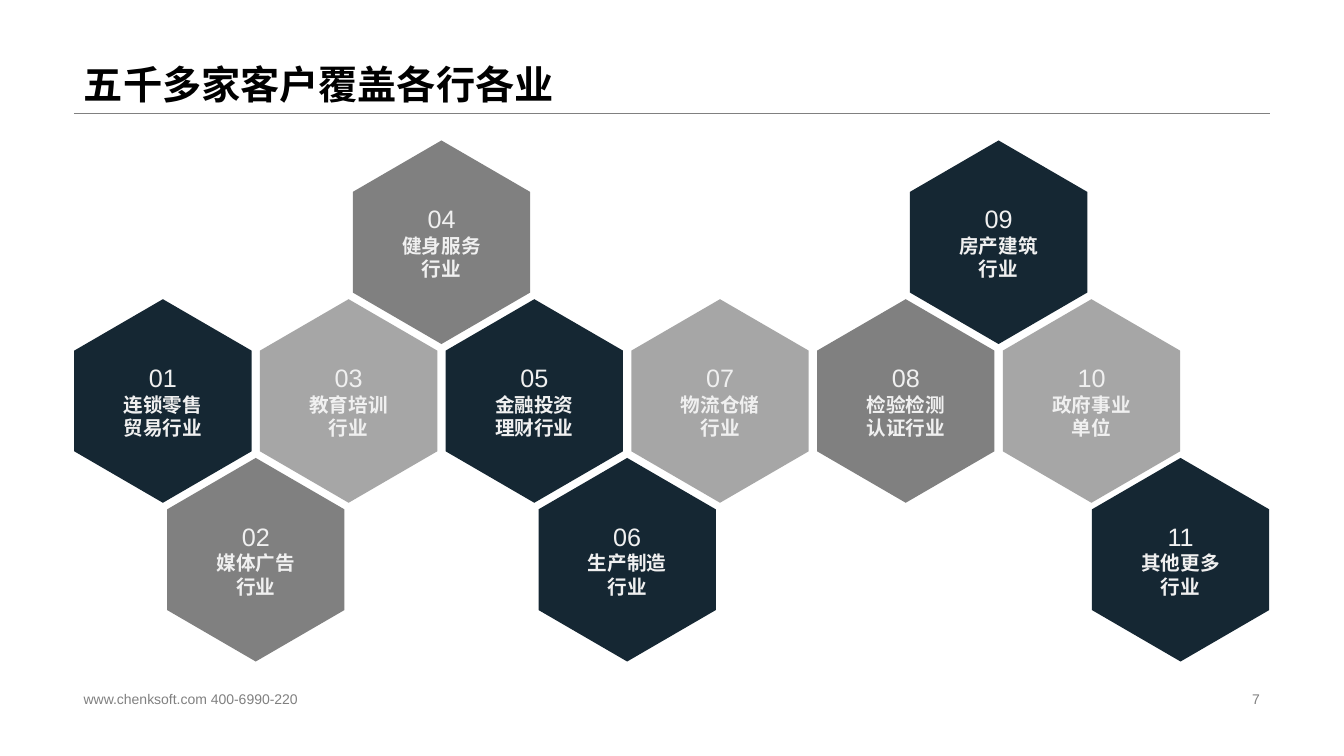
from pptx import Presentation
from pptx.dml.color import RGBColor
from pptx.enum import shapes, text
from pptx.oxml.ns import qn
from pptx.util import Cm, Pt
from lxml import etree

NAVY = RGBColor(0x15, 0x27, 0x33)
GRAY = RGBColor(0x80, 0x80, 0x80)
SILVER = RGBColor(0xA6, 0xA6, 0xA6)
PALE = RGBColor(0xF0, 0xF0, 0xF0)
BLACK = RGBColor(0, 0, 0)

LEFT, RIGHT = 1.86, 32.0
LONG, SHORT = 5.13, 4.47
COL, ROW = 2.34, 4.0

# column step, row, colour, label; numbered in order
FIELDS = [
    (0, 1, NAVY, "连锁零售贸易行业"),
    (1, 2, GRAY, "媒体广告行业"),
    (2, 1, SILVER, "教育培训行业"),
    (3, 0, GRAY, "健身服务行业"),
    (4, 1, NAVY, "金融投资理财行业"),
    (5, 2, NAVY, "生产制造行业"),
    (6, 1, SILVER, "物流仓储行业"),
    (8, 1, GRAY, "检验检测认证行业"),
    (9, 0, NAVY, "房产建筑行业"),
    (10, 1, SILVER, "政府事业单位"),
    (10.96, 2, NAVY, "其他更多行业"),
]


def write(frame, *lines, color, align=text.PP_ALIGN.LEFT,
          anchor=text.MSO_ANCHOR.MIDDLE, space=None):
    """Fill one paragraph with (words, size, bold) lines split by breaks."""
    frame.word_wrap = True
    frame.auto_size = text.MSO_AUTO_SIZE.NONE
    frame.vertical_anchor = anchor
    para = frame.paragraphs[0]
    para.alignment = align
    if space:
        para.line_spacing = space
    for i, (words, size, bold) in enumerate(lines):
        if i:
            para.add_line_break()
        run = para.add_run()
        run.text = words
        font = run.font
        font.name, font.size, font.bold = "Arial", Pt(size), bold
        font.color.rgb = color


def head(slide, words):
    title = slide.shapes.title
    title.left, title.top = Cm(LEFT), Cm(0)
    title.width, title.height = Cm(RIGHT - LEFT), Cm(2.85)
    write(title.text_frame, (words, 28, True), color=BLACK,
          anchor=text.MSO_ANCHOR.BOTTOM, space=0.9)


def rule(slide, y):
    line = slide.shapes.add_connector(
        shapes.MSO_CONNECTOR.STRAIGHT, Cm(LEFT), Cm(y), Cm(RIGHT), Cm(y))
    line.line.color.rgb = GRAY
    line.line.width = Pt(0.25)
    etree.SubElement(line._element.spPr, qn("a:effectLst"))


def foot(slide, x, width, words, align):
    box = slide.shapes.add_textbox(Cm(x), Cm(17.32), Cm(width), Cm(0.58))
    write(box.text_frame, (words, 10, False), color=GRAY, align=align)


def cell(slide, num, col, row, fill, label):
    """Draw a hexagon standing on its point, with upright text."""
    hexa = slide.shapes.add_shape(
        shapes.MSO_SHAPE.HEXAGON, Cm(1.54 + COL * col), Cm(3.87 + ROW * row),
        Cm(LONG), Cm(SHORT))
    hexa.rotation = 90
    hexa.adjustments[0] = 0.29
    hexa.shadow.inherit = False
    hexa.fill.solid()
    hexa.fill.fore_color.rgb = fill
    hexa.line.fill.background()
    hexa._element.txBody.bodyPr.set("vert", "vert270")
    write(hexa.text_frame, (f"{num:02}", 18, False), (label, 14, True),
          color=PALE, align=text.PP_ALIGN.CENTER)


def main():
    deck = Presentation()
    deck.slide_width, deck.slide_height = Cm(33.87), Cm(19.05)
    slide = deck.slides.add_slide(deck.slide_layouts.get_by_name("Title Only"))
    head(slide, "五千多家客户覆盖各行各业")
    rule(slide, 2.85)
    for num, field in enumerate(FIELDS, 1):
        cell(slide, num, *field)
    foot(slide, LEFT, 11.5, "www.chenksoft.com 400-6990-220",
         text.PP_ALIGN.LEFT)
    foot(slide, RIGHT - 8, 8, "7", text.PP_ALIGN.RIGHT)
    deck.save("out.pptx")


if __name__ == "__main__":
    main()
